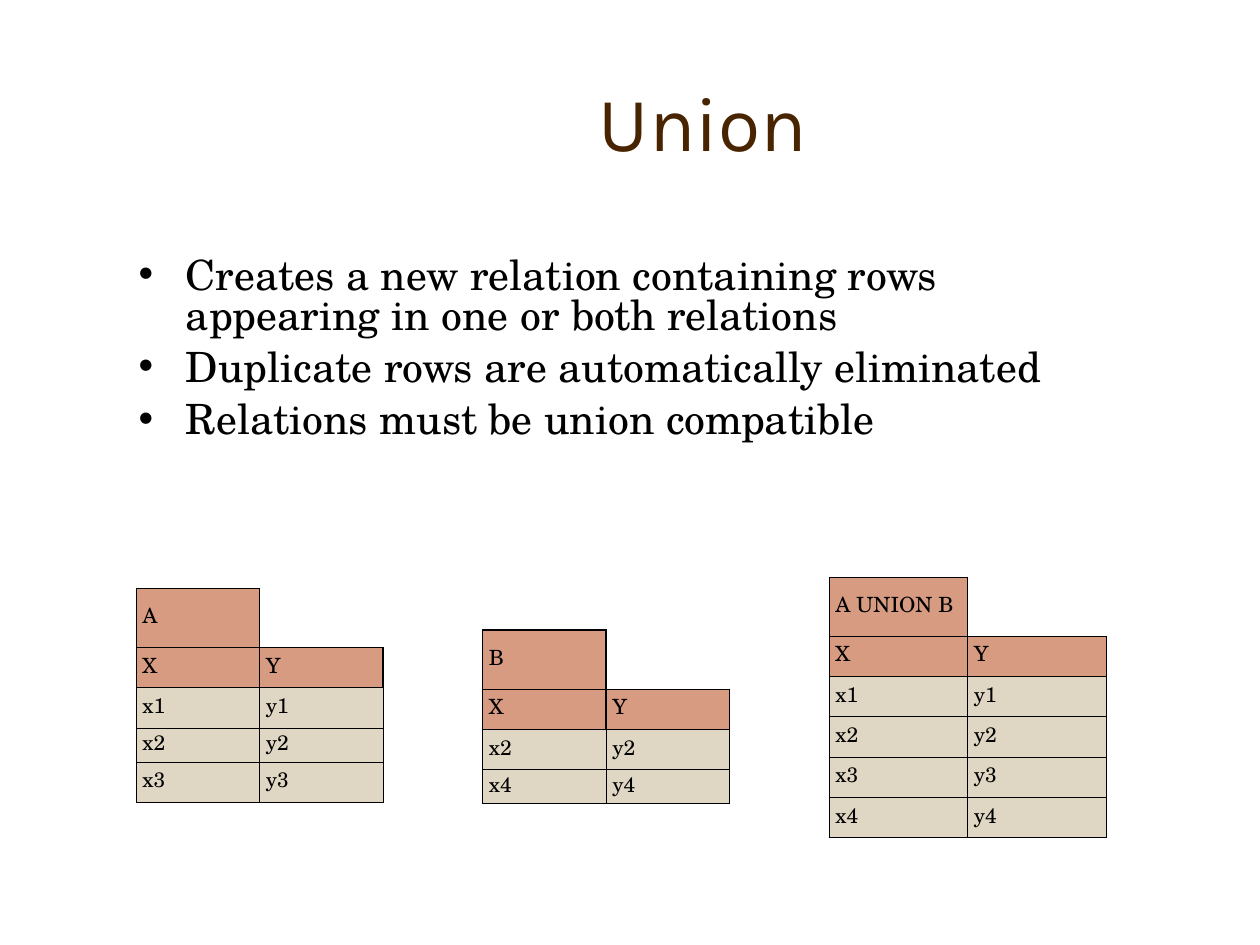
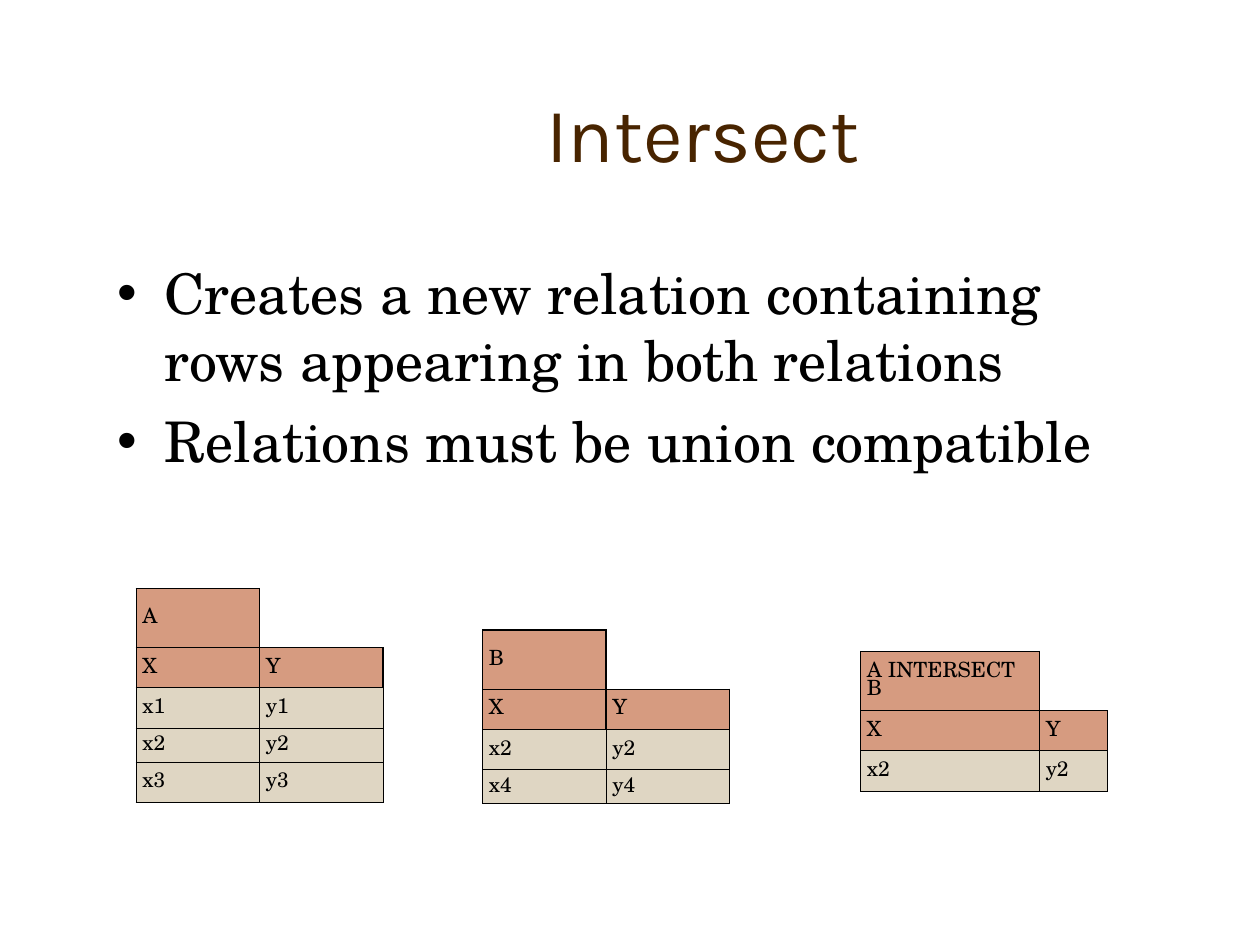
"""Build two slides on the relational operators Union and Intersect."""
from lxml.etree import SubElement
from pptx import Presentation
from pptx.dml.color import RGBColor
from pptx.enum.text import MSO_ANCHOR as Anchor, MSO_AUTO_SIZE as AutoSize, PP_ALIGN as Align
from pptx.oxml.ns import qn
from pptx.util import Inches, Pt

BLACK = RGBColor(0x00, 0x00, 0x00)
BROWN = RGBColor(0x48, 0x24, 0x00)
TERRACOTTA = RGBColor(0xD6, 0x9B, 0x80)
SAND = RGBColor(0xDF, 0xD6, 0xC3)
TITLE_FONT = "Karla"
TEXT_FONT = "TeX Gyre Schola"
THICK, THIN = 0.75, 0.45
NAME_ROW, ROW = 0.47, 0.32


class RelationDeck:
    def __init__(self):
        self.deck = Presentation()
        self.deck.slide_width, self.deck.slide_height = Inches(10), Inches(7.5)
        self.slide = None

    def new_slide(self):
        self.slide = self.deck.slides.add_slide(self.deck.slide_layouts[1])

    def style(self, paragraph, font_name, size, color):
        paragraph.font.name = font_name
        paragraph.font.size = Pt(size)
        paragraph.font.color.rgb = color

    def place(self, placeholder, left, top, width, height):
        placeholder.left, placeholder.top = Inches(left), Inches(top)
        placeholder.width, placeholder.height = Inches(width), Inches(height)
        placeholder.text_frame.auto_size = AutoSize.NONE
        return placeholder.text_frame

    def title(self, heading, height):
        frame = self.place(self.slide.shapes.title, 1.33, 0.42, 8.5, height)
        frame.text = heading
        frame.vertical_anchor = Anchor.MIDDLE
        frame.paragraphs[0].alignment = Align.CENTER
        self.style(frame.paragraphs[0], TITLE_FONT, 44, BROWN)

    def bullets(self, points, box, size, spacing, before):
        frame = self.place(self.slide.placeholders[1], *box)
        frame.text = "\n".join(points)
        for paragraph in frame.paragraphs:
            paragraph.line_spacing = spacing
            paragraph.space_before = Pt(before)
            self.style(paragraph, TEXT_FONT, size, BLACK)

    def borders(self, cell, **widths):
        properties = cell._tc.get_or_add_tcPr()
        for side in "LRTB":
            width = widths.get(side)
            line = SubElement(properties, qn(f"a:ln{side}"), w=str(Pt(width or 0)))
            if width:
                fill = SubElement(line, qn("a:solidFill"))
                SubElement(fill, qn("a:srgbClr"), val=str(BLACK))
            else:
                SubElement(line, qn("a:noFill"))

    def cell(self, cell, label, color, top, other):
        self.borders(cell, L=other, R=other, T=top, B=other)
        cell.fill.solid()
        cell.fill.fore_color.rgb = color
        cell.vertical_anchor = Anchor.MIDDLE
        cell.text = label
        paragraph = cell.text_frame.paragraphs[0]
        paragraph.line_spacing = 0.6
        paragraph.space_before = Pt(3)
        self.style(paragraph, TEXT_FONT, 12, BLACK)

    def relation(self, name, numbers, left, top, widths, short_row=None):
        rows = [(name, None), ("X", "Y")] + [(f"x{n}", f"y{n}") for n in numbers]
        heights = [NAME_ROW] + [ROW] * (len(rows) - 1)
        if short_row:
            heights[short_row] = 0.27
        table = self.slide.shapes.add_table(
            len(rows), 2, Inches(left), Inches(top),
            Inches(sum(widths)), Inches(sum(heights))).table
        table.first_row = table.horz_banding = False
        for column, width in zip(table.columns, widths):
            column.width = Inches(width)
        for r, (labels, height) in enumerate(zip(rows, heights)):
            table.rows[r].height = Inches(height)
            for c, label in enumerate(labels):
                cell = table.cell(r, c)
                cell.margin_left = cell.margin_right = Inches(0.05)
                cell.margin_top = cell.margin_bottom = Inches(0.05)
                if label is None:
                    self.borders(cell, L=THICK, B=THICK)
                    cell.fill.background()
                elif r < 2:
                    self.cell(cell, label, TERRACOTTA, THICK, THICK)
                else:
                    self.cell(cell, label, SAND, THICK if r == 2 else THIN, THIN)

    def operands(self):
        self.relation("A", (1, 2, 3), 1.08, 4.67, (0.98, 0.98), short_row=3)
        self.relation("B", (2, 4), 3.83, 5, (0.98, 0.98), short_row=3)


def main():
    deck = RelationDeck()

    deck.new_slide()
    deck.title("Union", 1.08)
    deck.bullets(
        ["Creates a new relation containing rows appearing in one or both relations",
         "Duplicate rows are automatically eliminated",
         "Relations must be union compatible"],
        (1, 2, 8.08, 1.67), size=23.8, spacing=0.8, before=7)
    deck.operands()
    deck.relation("A UNION B", (1, 2, 3, 4), 6.58, 4.58, (1.1, 1.1))

    deck.new_slide()
    deck.title("Intersect", 1.25)
    deck.bullets(
        ["Creates a new relation containing rows appearing in both relations",
         "Relations must be union compatible"],
        (0.83, 2, 8.25, 2.08), size=32, spacing=1.0, before=8)
    deck.operands()
    deck.relation("A INTERSECT B", (2,), 6.83, 5.17, (1.42, 0.54))

    deck.deck.save("out.pptx")


if __name__ == "__main__":
    main()
